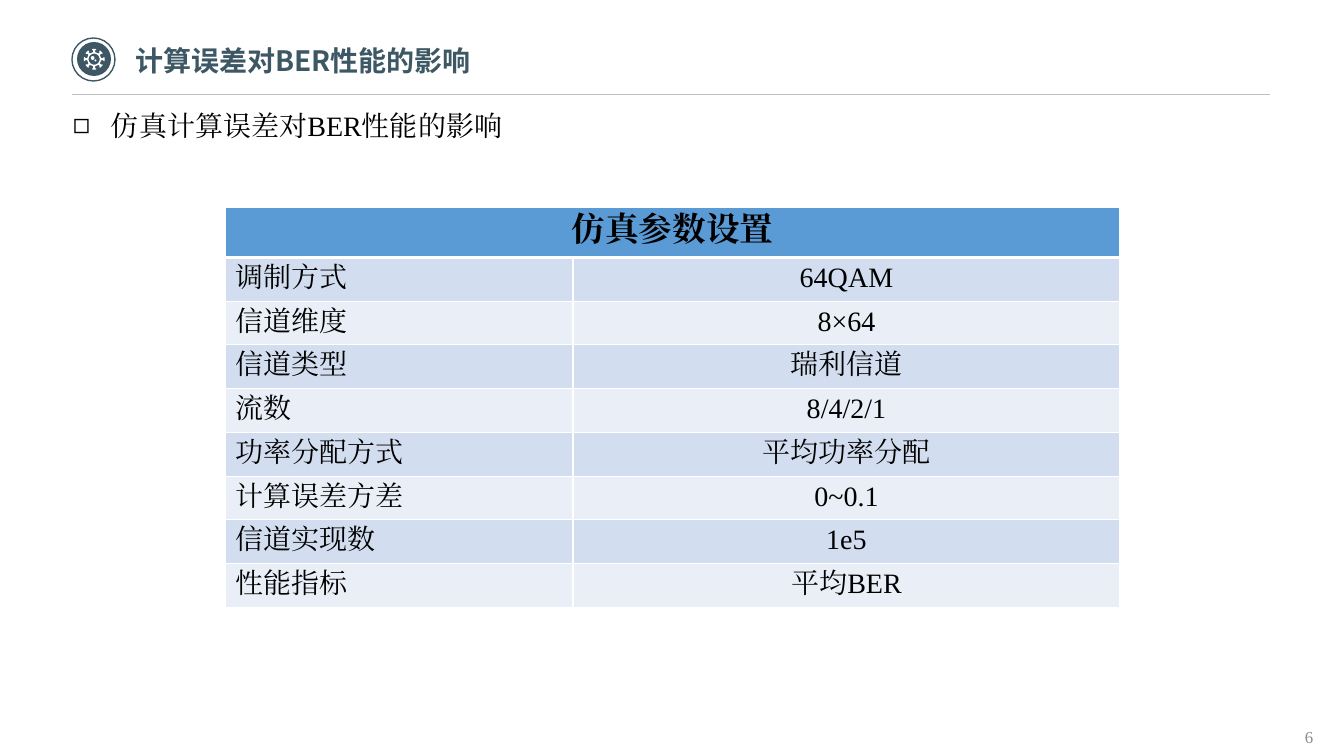
import math
from dataclasses import dataclass

from pptx import Presentation
from pptx import util as u
from pptx.dml.color import RGBColor
from pptx.enum import shapes, text
from pptx.oxml import ns, xmlchemy

PX = 914400 / 100.8
SERIF = "Times New Roman"
SANS = "Noto Sans CJK SC"
SLATE = RGBColor(0x3D, 0x58, 0x64)
WHITE = RGBColor(0xFF, 0xFF, 0xFF)
BLACK = RGBColor(0x00, 0x00, 0x00)
GREY = RGBColor(0x8C, 0x8C, 0x8C)
RULE_GREY = RGBColor(0xBF, 0xBF, 0xBF)
HEADER_BLUE = RGBColor(0x5B, 0x9B, 0xD5)
BAND_COLOURS = (RGBColor(0xD2, 0xDE, 0xEF), RGBColor(0xEA, 0xEF, 0xF7))


@dataclass(frozen=True)
class Style:
    size: int
    colour: RGBColor = BLACK
    face: str = SERIF
    bold: bool = False


@dataclass(frozen=True)
class Parameter:
    label: str
    value: str


PARAMETERS = (
    Parameter("调制方式", "64QAM"),
    Parameter("信道维度", "8×64"),
    Parameter("信道类型", "瑞利信道"),
    Parameter("流数", "8/4/2/1"),
    Parameter("功率分配方式", "平均功率分配"),
    Parameter("计算误差方差", "0~0.1"),
    Parameter("信道实现数", "1e5"),
    Parameter("性能指标", "平均BER"),
)


def px(count: int) -> u.Emu:
    return u.Emu(round(count * PX))


def add_element(parent, tag: str, **attributes: str):
    element = xmlchemy.OxmlElement(tag)
    for key, value in attributes.items():
        element.set(key, value)
    parent.append(element)
    return element


def format_paragraph(paragraph, style: Style, align=None) -> None:
    if align is not None:
        paragraph.alignment = align
    font = paragraph.font
    font.size = u.Pt(style.size)
    font.bold = style.bold
    font.color.rgb = style.colour
    font.name = style.face
    defaults = paragraph._p.pPr.find(ns.qn("a:defRPr"))
    add_element(defaults, "a:ea", typeface=style.face)


def place(shape, left: int, top: int, width: int, height: int) -> None:
    shape.left, shape.top = px(left), px(top)
    shape.width, shape.height = px(width), px(height)


def set_frame(frame, right_inset: int, anchor) -> None:
    frame.word_wrap = True
    frame.auto_size = text.MSO_AUTO_SIZE.NONE
    frame.vertical_anchor = anchor
    frame.margin_left, frame.margin_right = 0, px(right_inset)
    frame.margin_top = frame.margin_bottom = px(5)


def add_disc(slide, left: int, top: int, size: int):
    disc = slide.shapes.add_shape(
        shapes.MSO_SHAPE.OVAL, px(left), px(top), px(size), px(size))
    disc.shadow.inherit = False
    return disc


def circle(x: int, y: int, radius: int) -> list[tuple[int, int]]:
    angles = [math.tau * step / 32 for step in range(32)]
    return [(round(x + radius * math.cos(a)), round(y + radius * math.sin(a)))
            for a in angles]


def gear_outline(x: int, y: int, teeth: int) -> list[tuple[int, int]]:
    tooth = ((70, -10), (91, -10), (91, -21), (104, -18),
             (104, 18), (91, 21), (91, 10), (70, 10))
    points = []
    for index in range(teeth):
        turn = math.tau * index / teeth
        cos, sin = math.cos(turn), math.sin(turn)
        points += [(round(x + r * cos - side * sin), round(y + r * sin + side * cos))
                   for r, side in tooth]
    return points


def add_emblem(slide) -> None:
    ring = add_disc(slide, 72, 38, 43)
    ring.fill.background()
    ring.line.color.rgb = SLATE
    ring.line.width = u.Pt(1)
    core = add_disc(slide, 77, 42, 34)
    core.fill.solid()
    core.fill.fore_color.rgb = SLATE
    core.line.fill.background()

    outline = gear_outline(942, 592, 8)
    builder = slide.shapes.build_freeform(*outline[0], scale=PX / 10)
    builder.add_line_segments(outline[1:], close=True)
    for contour in (circle(942, 592, 55), circle(927, 580, 18), circle(955, 605, 10)):
        builder.move_to(*contour[0])
        builder.add_line_segments(contour[1:], close=True)
    gear = builder.convert_to_shape()
    gear.shadow.inherit = False
    gear.fill.solid()
    gear.fill.fore_color.rgb = WHITE
    gear.line.fill.background()


def add_rule(slide) -> None:
    rule = slide.shapes.add_connector(
        shapes.MSO_CONNECTOR.STRAIGHT, px(72), px(94), px(1270), px(94))
    rule.line.color.rgb = RULE_GREY
    rule.line.width = u.Pt(0.5)
    add_element(rule._element.spPr, "a:effectLst")


def add_page_number(slide) -> None:
    page = slide.shapes.add_textbox(px(1295), px(722), px(98), px(30)).text_frame
    page.word_wrap = True
    page.text = "6"
    format_paragraph(page.paragraphs[0], Style(12, GREY))


def fill_headings(slide) -> None:
    title = slide.shapes.title
    place(title, 135, 38, 728, 45)
    title.text_frame.text = "计算误差对BER性能的影响"
    set_frame(title.text_frame, 10, text.MSO_ANCHOR.MIDDLE)
    format_paragraph(title.text_frame.paragraphs[0],
                     Style(20, SLATE, SANS, True), text.PP_ALIGN.LEFT)

    body = slide.placeholders[1]
    place(body, 73, 93, 1198, 663)
    body.text_frame.text = "仿真计算误差对BER性能的影响"
    set_frame(body.text_frame, 0, text.MSO_ANCHOR.TOP)
    topic = body.text_frame.paragraphs[0]
    topic.line_spacing = 1.3
    topic.space_before = u.Pt(0)
    properties = topic._p.get_or_add_pPr()
    properties.set("marL", str(px(38)))
    properties.set("indent", str(-px(38)))
    add_element(properties, "a:buChar", char="◻")
    format_paragraph(topic, Style(20), text.PP_ALIGN.JUSTIFY)


def fill_cell(cell, words: str, style: Style, align, colour: RGBColor,
              top: int = 1, bottom: int = 1) -> None:
    cell.text = words
    format_paragraph(cell.text_frame.paragraphs[0], style, align)
    properties = cell._tc.get_or_add_tcPr()
    for side, points in (("L", 1), ("R", 1), ("T", top), ("B", bottom)):
        border = add_element(properties, f"a:ln{side}", w=str(u.Pt(points)))
        paint = add_element(border, "a:solidFill")
        add_element(paint, "a:srgbClr", val=str(WHITE))
    cell.fill.solid()
    cell.fill.fore_color.rgb = colour


def add_parameters(slide) -> None:
    table = slide.shapes.add_table(
        len(PARAMETERS) + 1, 2, px(225), px(207), px(895), px(400)).table
    table.first_row = table.horz_banding = False
    table.columns[0].width, table.columns[1].width = px(348), px(547)
    for row in table.rows:
        row.height = px(43)
    header = table.cell(0, 0)
    header.merge(table.cell(0, 1))
    fill_cell(header, "仿真参数设置", Style(24, bold=True),
              text.PP_ALIGN.CENTER, HEADER_BLUE, bottom=3)
    for index, parameter in enumerate(PARAMETERS):
        band = BAND_COLOURS[index % 2]
        top = 1 if index else 3
        fill_cell(table.cell(index + 1, 0), parameter.label, Style(20),
                  text.PP_ALIGN.JUSTIFY, band, top)
        fill_cell(table.cell(index + 1, 1), parameter.value, Style(20),
                  text.PP_ALIGN.CENTER, band, top)


def main() -> None:
    deck = Presentation()
    deck.slide_width, deck.slide_height = px(1344), px(756)
    slide = deck.slides.add_slide(deck.slide_layouts[1])
    add_page_number(slide)
    add_emblem(slide)
    add_rule(slide)
    fill_headings(slide)
    add_parameters(slide)
    deck.save("out.pptx")


if __name__ == "__main__":
    main()
